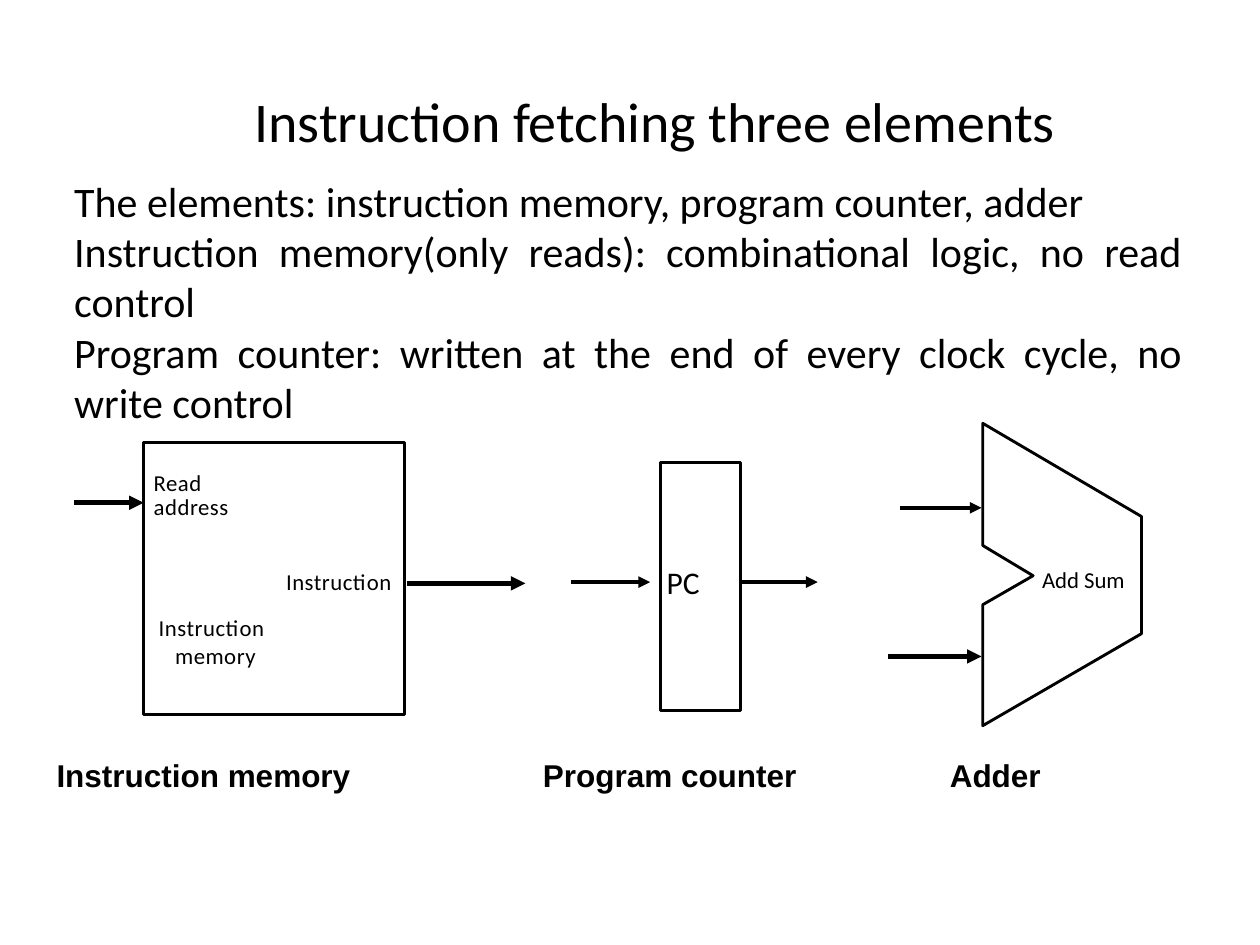
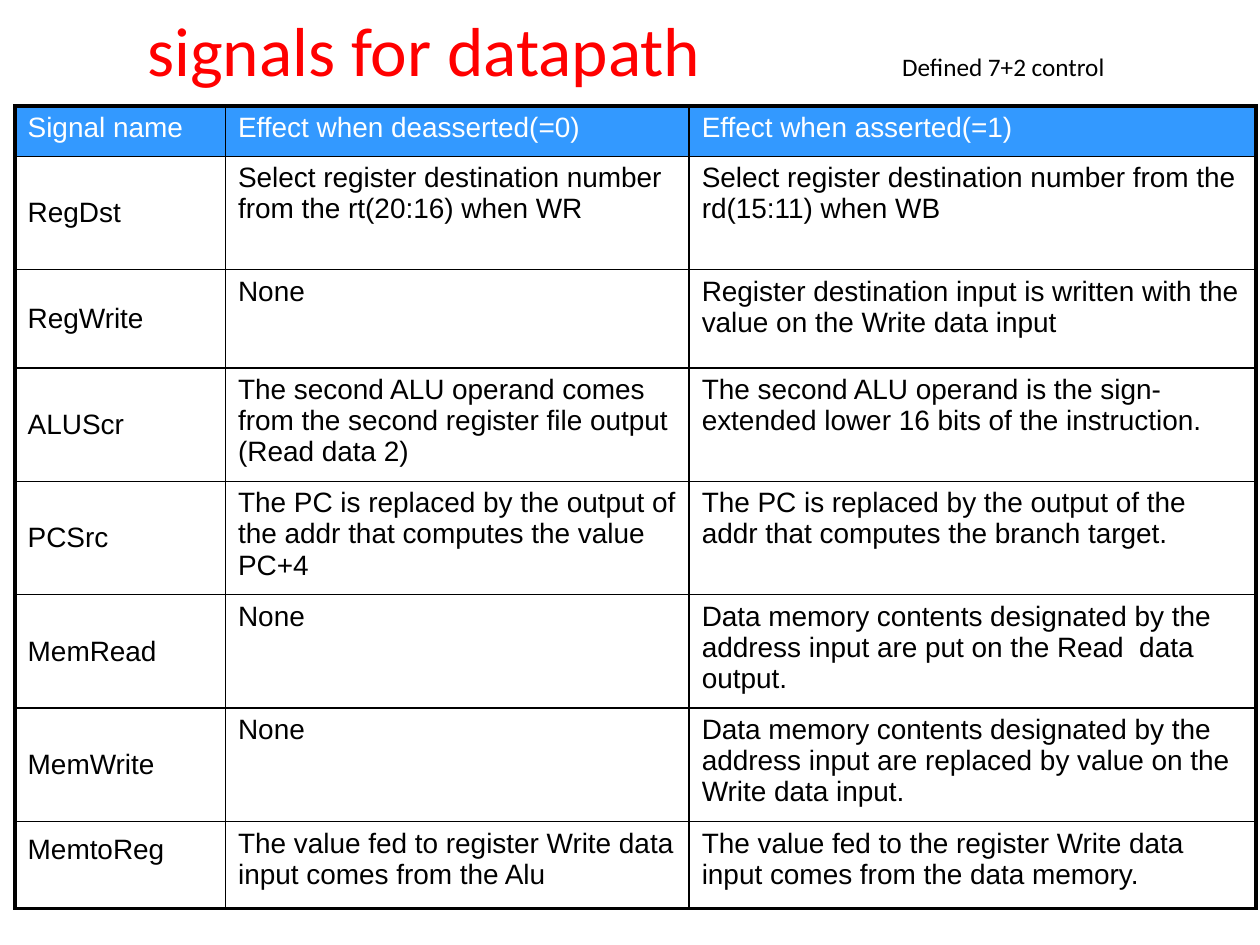
import pptx
import pptx.util
import pptx.dml.color
import pptx.enum.text
import pptx.enum.shapes
import pptx.oxml
import pptx.oxml.ns
import lxml.etree

Inches, Pt = pptx.util.Inches, pptx.util.Pt
RGB = pptx.dml.color.RGBColor.from_string
ALIGN = pptx.enum.text.PP_ALIGN
ANCHOR = pptx.enum.text.MSO_ANCHOR
qn = pptx.oxml.ns.qn

C = {"ink": "000000", "accent": "FF0000", "header": "3399FF", "white": "FFFFFF"}
BODY, CAPTION = "Calibri", "Arial"


def add_run(p, text, size, font=BODY, color="ink", bold=False):
    r = p.add_run()
    r.text = text
    r.font.size = Pt(size)
    r.font.name = font
    r.font.bold = bold
    r.font.color.rgb = RGB(C[color])
    return r


def place_box(sp, left, top, width, height, margin=None, anchor=ANCHOR.TOP, wrap=True):
    sp.left, sp.top, sp.width, sp.height = map(Inches, (left, top, width, height))
    tf = sp.text_frame
    tf.word_wrap = wrap
    tf.auto_size = pptx.enum.text.MSO_AUTO_SIZE.NONE
    tf.vertical_anchor = anchor
    if margin is not None:
        tf.margin_left = tf.margin_right = tf.margin_top = tf.margin_bottom = Inches(margin)
    return tf


prs = pptx.Presentation()
prs.slide_width, prs.slide_height = Inches(10), Inches(7.5)
title_only = prs.slide_layouts[5]

s = prs.slides.add_slide(title_only)
tf = place_box(s.shapes.title, 0.95, 0.15, 8.5, 1.61, anchor=ANCHOR.MIDDLE)
p = tf.paragraphs[0]
p.alignment = ALIGN.CENTER
add_run(p, "Instruction fetching three elements", 32)

memory = s.shapes.add_shape(pptx.enum.shapes.MSO_SHAPE.RECTANGLE,
                            Inches(1.14), Inches(3.51), Inches(2.07), Inches(2.16))
counter = s.shapes.add_shape(pptx.enum.shapes.MSO_SHAPE.RECTANGLE,
                             Inches(5.24), Inches(3.67), Inches(0.64), Inches(1.97))
adder_points = [(7.8, 3.36), (7.8, 4.33), (8.2, 4.57), (7.8, 4.8),
                (7.8, 5.76), (9.06, 5.03), (9.06, 4.1)]
outline = [(Inches(x), Inches(y)) for x, y in adder_points]
builder = s.shapes.build_freeform(*outline[0])
builder.add_line_segments(outline[1:], close=True)
adder = builder.convert_to_shape()
for sp in (memory, counter, adder):
    sp.shadow.inherit = False
    sp.fill.background()
    sp.line.color.rgb = RGB(C["ink"])
    sp.line.width = Pt(1.63)

arrows = [
    (0.59, 1.14, 3.99, 2.75),
    (3.23, 4.17, 4.63, 2.75),
    (4.53, 5.16, 4.62, 2.25),
    (5.87, 6.49, 4.62, 2.25),
    (7.14, 7.79, 4.03, 2.25),
    (7.05, 7.79, 5.21, 2.75),
]
for start, end, y, weight in arrows:
    arrow = s.shapes.add_connector(pptx.enum.shapes.MSO_CONNECTOR.STRAIGHT,
                                   Inches(start), Inches(y), Inches(end), Inches(y))
    arrow.line.color.rgb = RGB(C["ink"])
    arrow.line.width = Pt(weight)
    lxml.etree.SubElement(arrow.line._get_or_add_ln(), qn("a:tailEnd"), type="triangle")
    lxml.etree.SubElement(arrow._element.spPr, qn("a:effectLst"))

labels = [
    ("Read", 1.22, 3.72, 0.44, 13, 30),
    ("address", 1.22, 3.91, 0.65, 13, 30),
    ("Instruction", 2.27, 4.51, 0.85, 13, 30),
    ("Instruction", 1.26, 4.87, 0.85, 13, 30),
    ("memory", 1.39, 5.09, 0.65, 13, 30),
    ("PC", 5.29, 4.47, 0.73, 18, 0),
    ("Add Sum", 8.27, 4.49, 0.79, 13, 0),
]
for text, left, top, width, size, spacing in labels:
    tf = place_box(s.shapes.add_textbox(0, 0, 0, 0), left, top, width, size / 60,
                   margin=0, wrap=False)
    r = add_run(tf.paragraphs[0], text, size)
    if spacing:
        r.font._element.set("spc", str(spacing))

captions = [("Instruction memory", 0.35, 3.15), ("Program counter", 4.21, 3.15),
            ("Adder", 7.44, 2.2)]
for text, left, width in captions:
    tf = place_box(s.shapes.add_textbox(0, 0, 0, 0), left, 5.95, width, 0.4)
    add_run(tf.paragraphs[0], text, 18, CAPTION, bold=True)

points = [
    "The elements: instruction memory, program counter, adder",
    "Instruction memory(only reads): combinational logic, no read control",
    "Program counter: written at the end of every clock cycle, no write control",
]
tf = place_box(s.shapes.add_textbox(0, 0, 0, 0), 0.49, 1.34, 8.99, 2.12)
for i, text in enumerate(points):
    p = tf.add_paragraph() if i else tf.paragraphs[0]
    p.alignment = ALIGN.JUSTIFY
    add_run(p, text, 24)

s = prs.slides.add_slide(title_only)
tf = place_box(s.shapes.title, 0.25, 0.05, 9.48, 0.67, anchor=ANCHOR.MIDDLE)
tf.margin_left = Inches(0.92)
p = tf.paragraphs[0]
p.alignment = ALIGN.LEFT
tabs = lxml.etree.SubElement(p._p.get_or_add_pPr(), qn("a:tabLst"))
lxml.etree.SubElement(tabs, qn("a:tab"), pos=str(Inches(5.99)), algn="l")
add_run(p, "signals for datapath", 39.6, color="accent")
add_run(p, "\t", 21.6, color="accent")
add_run(p, "Defined 7+2 control", 14.4)

signals = [
    ("Signal name", "Effect when deasserted(=0)", "Effect when asserted(=1)"),
    ("RegDst", "Select register destination number from the rt(20:16) when WR",
     "Select register destination number from the rd(15:11) when WB"),
    ("RegWrite", "None",
     "Register destination input is written with the value on the Write data input"),
    ("ALUScr",
     "The second ALU operand comes from the second register file output (Read data 2)",
     "The second ALU operand is the sign-extended lower 16 bits of the instruction."),
    ("PCSrc", "The PC is replaced by the output of the addr that computes the value PC+4",
     "The PC is replaced by the output of the addr that computes the branch target."),
    ("MemRead", "None",
     "Data memory contents designated by the address input are put on the Read  data output."),
    ("MemWrite", "None",
     "Data memory contents designated by the address input are replaced by value on the "
     "Write data input."),
    ("MemtoReg", "The value fed to register Write data input comes from the Alu",
     "The value fed to the register Write data input comes from the data memory."),
]
widths = [1.67, 3.68, 4.5]
heights = [0.4, 0.9, 0.78, 0.9, 0.9, 0.9, 0.9, 0.69]
last_row, last_col = len(heights) - 1, len(widths) - 1
table = s.shapes.add_table(len(heights), len(widths), Inches(0.12), Inches(0.84),
                           Inches(sum(widths)), Inches(sum(heights))).table
table.first_row = table.horz_banding = False
for column, width in zip(table.columns, widths):
    column.width = Inches(width)
for i, (row, height) in enumerate(zip(table.rows, heights)):
    row.height = Inches(height)
    for j, cell in enumerate(row.cells):
        p = cell.text_frame.paragraphs[0]
        p.space_before = Pt(3.2)
        add_run(p, signals[i][j], 16, CAPTION, "ink" if i else "white")
        if i and j == 0:
            cell.vertical_anchor = ANCHOR.MIDDLE
        tcPr = cell._tc.get_or_add_tcPr()
        edges = {"L": j == 0, "R": j == last_col, "T": i == 0, "B": i == last_row}
        for side, outer in edges.items():
            ln = lxml.etree.SubElement(tcPr, qn(f"a:ln{side}"), w=str(Pt(2.25 if outer else 1)))
            fill = lxml.etree.SubElement(ln, qn("a:solidFill"))
            lxml.etree.SubElement(fill, qn("a:srgbClr"), val=C["ink"])
        if i:
            cell.fill.background()
        else:
            cell.fill.solid()
            cell.fill.fore_color.rgb = RGB(C["header"])
table.cell(last_row, 0).margin_bottom = Inches(0.29)

prs.save("out.pptx")
